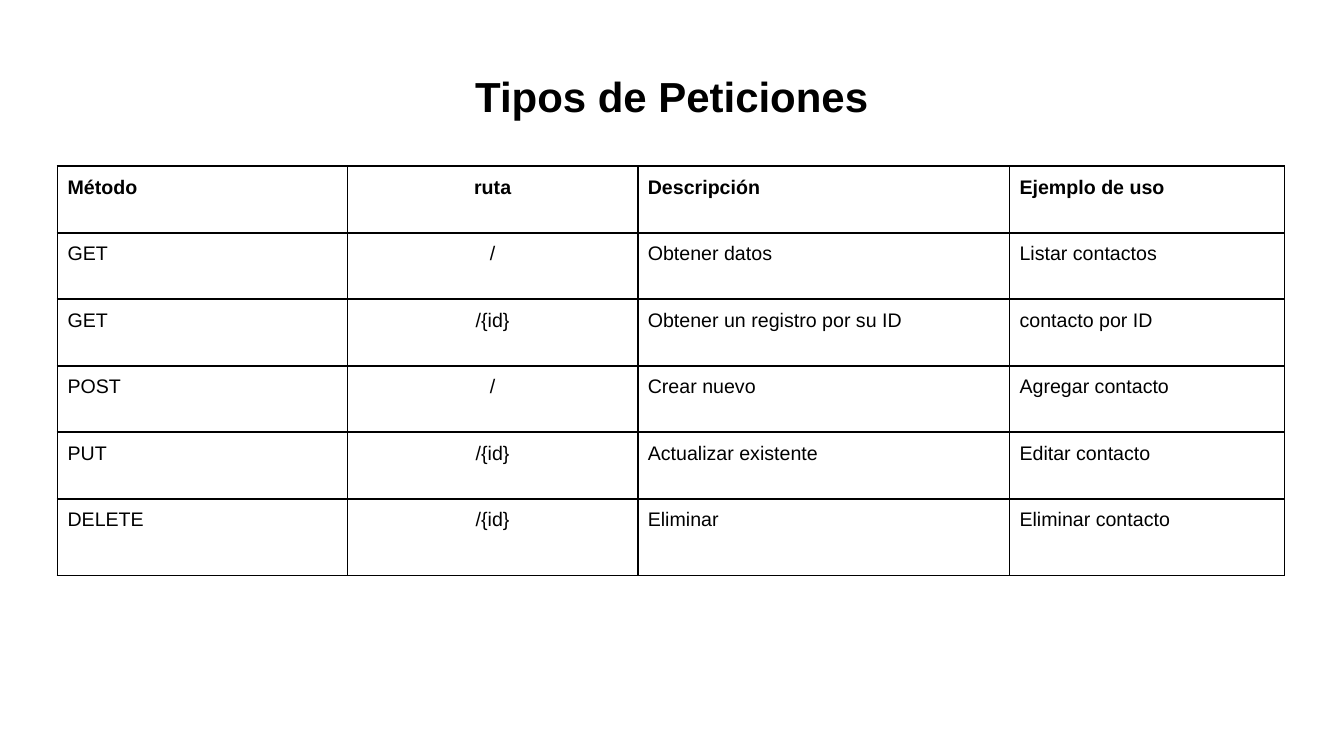
"""Build the slide "Tipos de Peticiones" with its table of HTTP requests."""
from dataclasses import astuple, dataclass

from lxml import etree
from pptx import Presentation
from pptx import util as u
from pptx.enum import text
from pptx.oxml import ns

COLORS = {"ink": "000000", "paper": "FFFFFF"}
FONT = "Arial"
COLUMN_WIDTHS = (2.88, 2.88, 3.69, 2.73)
ROW_HEIGHTS = (0.66,) * 5 + (0.76,)
PADDING = 0.1
BORDER_POINTS = 1.5


@dataclass(frozen=True)
class Request:
    """One row of the table."""

    method: str
    route: str
    description: str
    example: str


REQUESTS = (
    Request("Método", "ruta", "Descripción", "Ejemplo de uso"),
    Request("GET", "/", "Obtener datos", "Listar contactos"),
    Request("GET", "/{id}", "Obtener un registro por su ID", "contacto por ID"),
    Request("POST", "/", "Crear nuevo", "Agregar contacto"),
    Request("PUT", "/{id}", "Actualizar existente", "Editar contacto"),
    Request("DELETE", "/{id}", "Eliminar", "Eliminar contacto"),
)


def write(frame, wording: str, *, size: float, bold: bool = False, centered: bool = False) -> None:
    """Put formatted wording into a text frame."""
    frame.word_wrap = True
    paragraph = frame.paragraphs[0]
    paragraph.alignment = text.PP_ALIGN.CENTER if centered else text.PP_ALIGN.LEFT
    paragraph.space_before = u.Pt(0)
    run = paragraph.add_run()
    run.text = wording
    run.font.name = FONT
    run.font.size = u.Pt(size)
    run.font.bold = bold
    run.font.color.rgb = RGBColor.from_string(COLORS["ink"])


def set_padding(holder, top: float = PADDING) -> None:
    """Set the inner margins of a cell or text frame."""
    holder.margin_left = holder.margin_right = holder.margin_bottom = u.Inches(PADDING)
    holder.margin_top = u.Inches(top)


def style_cell(cell) -> None:
    """Give a cell its padding, fill and four borders."""
    set_padding(cell)
    cell.vertical_anchor = text.MSO_ANCHOR.TOP
    properties = cell._tc.get_or_add_tcPr()
    for side in ("a:lnL", "a:lnR", "a:lnT", "a:lnB"):
        border = etree.SubElement(properties, ns.qn(side), w=str(u.Pt(BORDER_POINTS)))
        fill = etree.SubElement(border, ns.qn("a:solidFill"))
        etree.SubElement(fill, ns.qn("a:srgbClr"), val=COLORS["ink"])
    cell.fill.solid()
    cell.fill.fore_color.rgb = RGBColor.from_string(COLORS["paper"])


def add_title(slide) -> None:
    """Place and write the slide title."""
    title = slide.shapes.title
    title.left, title.top = u.Inches(3.31), u.Inches(0.5)
    title.width, title.height = u.Inches(6.72), u.Inches(0.67)
    frame = title.text_frame
    frame.auto_size = text.MSO_AUTO_SIZE.NONE
    frame.vertical_anchor = text.MSO_ANCHOR.TOP
    set_padding(frame, top=0.2)
    frame.margin_bottom = 0
    write(frame, "Tipos de Peticiones", size=30, bold=True, centered=True)


def add_requests(slide) -> None:
    """Draw the table of requests."""
    requests = slide.shapes.add_table(
        len(REQUESTS), len(COLUMN_WIDTHS), u.Inches(0.57), u.Inches(1.65),
        u.Inches(sum(COLUMN_WIDTHS)), u.Inches(sum(ROW_HEIGHTS)),
    ).table
    requests.horz_banding = False
    for column, width in zip(requests.columns, COLUMN_WIDTHS):
        column.width = u.Inches(width)
    for row_index, (row, height, request) in enumerate(zip(requests.rows, ROW_HEIGHTS, REQUESTS)):
        row.height = u.Inches(height)
        for column_index, (cell, wording) in enumerate(zip(row.cells, astuple(request))):
            style_cell(cell)
            write(cell.text_frame, wording, size=14, bold=row_index == 0, centered=column_index == 1)


def main() -> None:
    """Create and save the presentation."""
    deck = Presentation()
    deck.slide_width, deck.slide_height = u.Inches(13.34), u.Inches(7.5)
    slide = deck.slides.add_slide(deck.slide_layouts.get_by_name("Title Only"))
    add_title(slide)
    add_requests(slide)
    deck.save("out.pptx")


from pptx.dml.color import RGBColor

if __name__ == "__main__":
    main()
